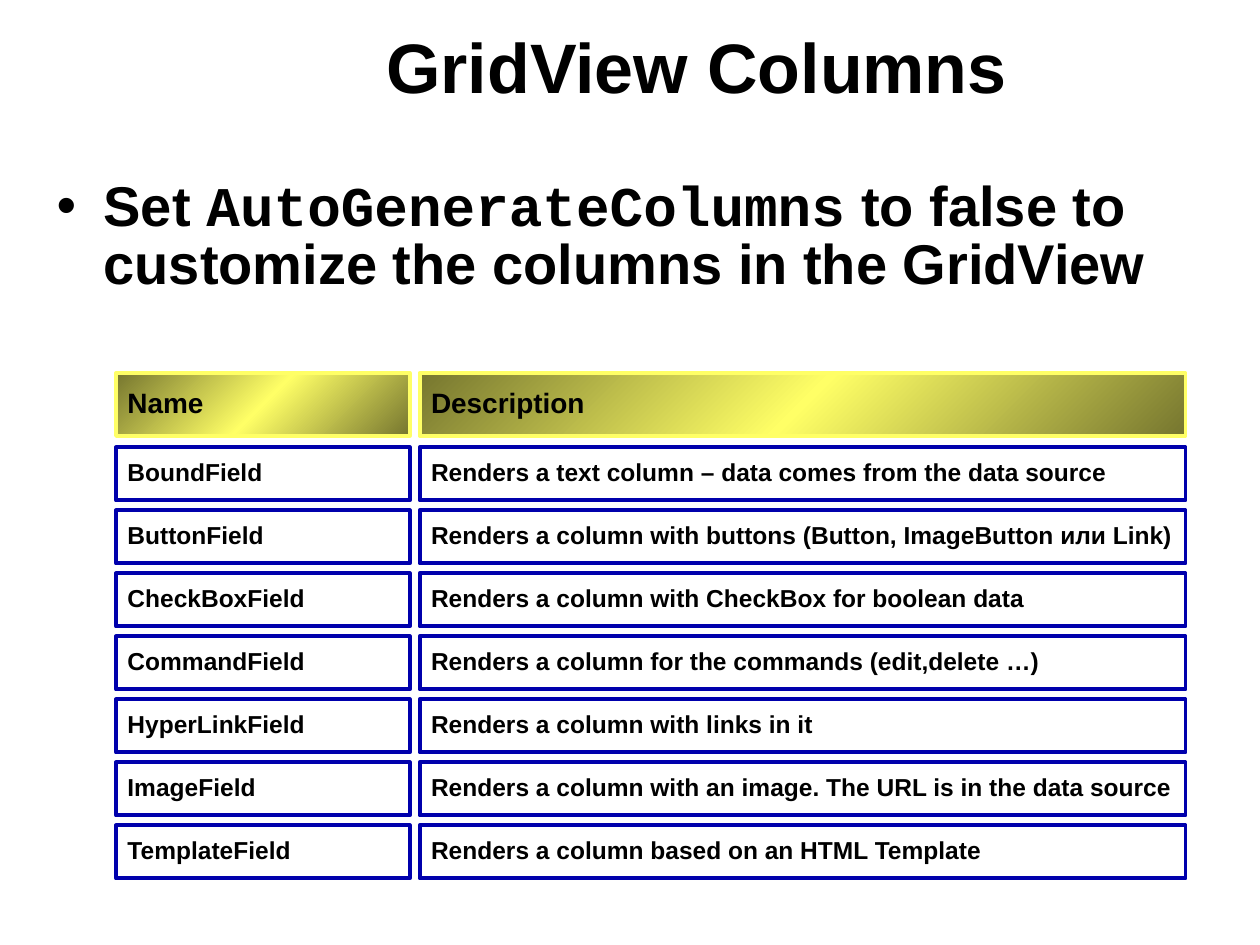
from copy import deepcopy
from typing import NamedTuple

from lxml.etree import SubElement
from pptx import Presentation
from pptx.dml.color import RGBColor
from pptx.enum.shapes import MSO_SHAPE as Preset
from pptx.enum.text import MSO_ANCHOR as Anchor, PP_ALIGN as Align
from pptx.oxml.ns import qn
from pptx.util import Cm, Pt

BLACK, BLUE, YELLOW, OLIVE = "000000", "0000AC", "FFFF66", "76762F"
LINE_SPACING = 0.85


class Column(NamedTuple):
    left: float
    width: float


class Field(NamedTuple):
    name: str
    description: str


COLUMNS = (Column(2.34, 5.92), Column(8.46, 15.44))
HEADER = Field("Name", "Description")
HEADER_TOP, HEADER_HEIGHT = 7.52, 1.27
FIELDS_TOP, FIELD_HEIGHT, FIELD_PITCH = 9.02, 1.07, 1.27
FIELDS = (
    Field("BoundField", "Renders a text column – data comes from the data source"),
    Field("ButtonField", "Renders a column with buttons (Button, ImageButton или Link)"),
    Field("CheckBoxField", "Renders a column with CheckBox for boolean data"),
    Field("CommandField", "Renders a column for the commands (edit,delete …)"),
    Field("HyperLinkField", "Renders a column with links in it"),
    Field("ImageField", "Renders a column with an image. The URL is in the data source"),
    Field("TemplateField", "Renders a column based on an HTML Template"),
)


def color(value: str) -> RGBColor:
    return RGBColor.from_string(value)


def format_run(run, size: float, font_name: str = "Arial") -> None:
    run.font.name = font_name
    run.font.size = Pt(size)
    run.font.bold = True
    run.font.color.rgb = color(BLACK)


def fill_header(shape) -> None:
    """Fill with a diagonal gradient that is bright in the middle."""
    shape.fill.gradient()
    shape.fill.gradient_angle = 315
    stop_list = shape.element.spPr.find(".//" + qn("a:gsLst"))
    stop_list.insert(1, deepcopy(stop_list[0]))
    stops = zip(shape.fill.gradient_stops, (0, 0.5, 1), (OLIVE, YELLOW, OLIVE))
    for stop, position, value in stops:
        stop.position = position
        stop.color.rgb = color(value)


def add_row(slide, field: Field, top: float, height: float, size: float,
            line_color: str, is_header: bool = False) -> None:
    for column, text in zip(COLUMNS, field):
        shape = slide.shapes.add_shape(
            Preset.RECTANGLE, Cm(column.left), Cm(top), Cm(column.width), Cm(height))
        shape.shadow.inherit = False
        if is_header:
            fill_header(shape)
        else:
            shape.fill.background()
        shape.line.color.rgb = color(line_color)
        shape.line.width = Pt(2.25)
        frame = shape.text_frame
        frame.text = text
        frame.word_wrap = False
        frame.vertical_anchor = Anchor.MIDDLE
        frame.margin_left = frame.margin_right = Cm(0.23)
        frame.margin_top = frame.margin_bottom = Cm(0.23)
        paragraph = frame.paragraphs[0]
        paragraph.alignment = Align.LEFT
        paragraph.line_spacing = LINE_SPACING
        format_run(paragraph.runs[0], size)


def add_text_frame(slide, left: float, top: float, width: float, height: float):
    frame = slide.shapes.add_textbox(Cm(left), Cm(top), Cm(width), Cm(height)).text_frame
    frame.word_wrap = True
    frame.paragraphs[0].line_spacing = LINE_SPACING
    return frame


def add_title(slide) -> None:
    frame = add_text_frame(slide, 7.54, 0.2, 17.86, 2.51)
    frame.vertical_anchor = Anchor.MIDDLE
    paragraph = frame.paragraphs[0]
    paragraph.text = "GridView Columns"
    format_run(paragraph.runs[0], 40)


def add_bullet(paragraph) -> None:
    properties = paragraph._p.get_or_add_pPr()
    indent = Cm(0.95)
    properties.set("marL", str(indent))
    properties.set("indent", str(-indent))
    bullet_color = SubElement(properties, qn("a:buClr"))
    SubElement(bullet_color, qn("a:srgbClr"), val=BLACK)
    SubElement(properties, qn("a:buFont"), typeface="Arial")
    SubElement(properties, qn("a:buChar"), char="•")


def add_body(slide) -> None:
    paragraph = add_text_frame(slide, 0.89, 3.53, 23.6, 14.81).paragraphs[0]
    add_bullet(paragraph)
    for text, font_name in (
        ("Set ", "Arial"),
        ("AutoGenerateColumns", "Courier New"),
        (" to false to customize the columns in the GridView", "Arial"),
    ):
        run = paragraph.add_run()
        run.text = text
        format_run(run, 32, font_name)


def main() -> None:
    presentation = Presentation()
    presentation.slide_width, presentation.slide_height = Cm(25.4), Cm(19.05)
    slide = presentation.slides.add_slide(presentation.slide_layouts[6])
    add_title(slide)
    add_row(slide, HEADER, HEADER_TOP, HEADER_HEIGHT, 16, YELLOW, is_header=True)
    for index, field in enumerate(FIELDS):
        add_row(slide, field, FIELDS_TOP + index * FIELD_PITCH, FIELD_HEIGHT, 14, BLUE)
    add_body(slide)
    presentation.save("out.pptx")


if __name__ == "__main__":
    main()
